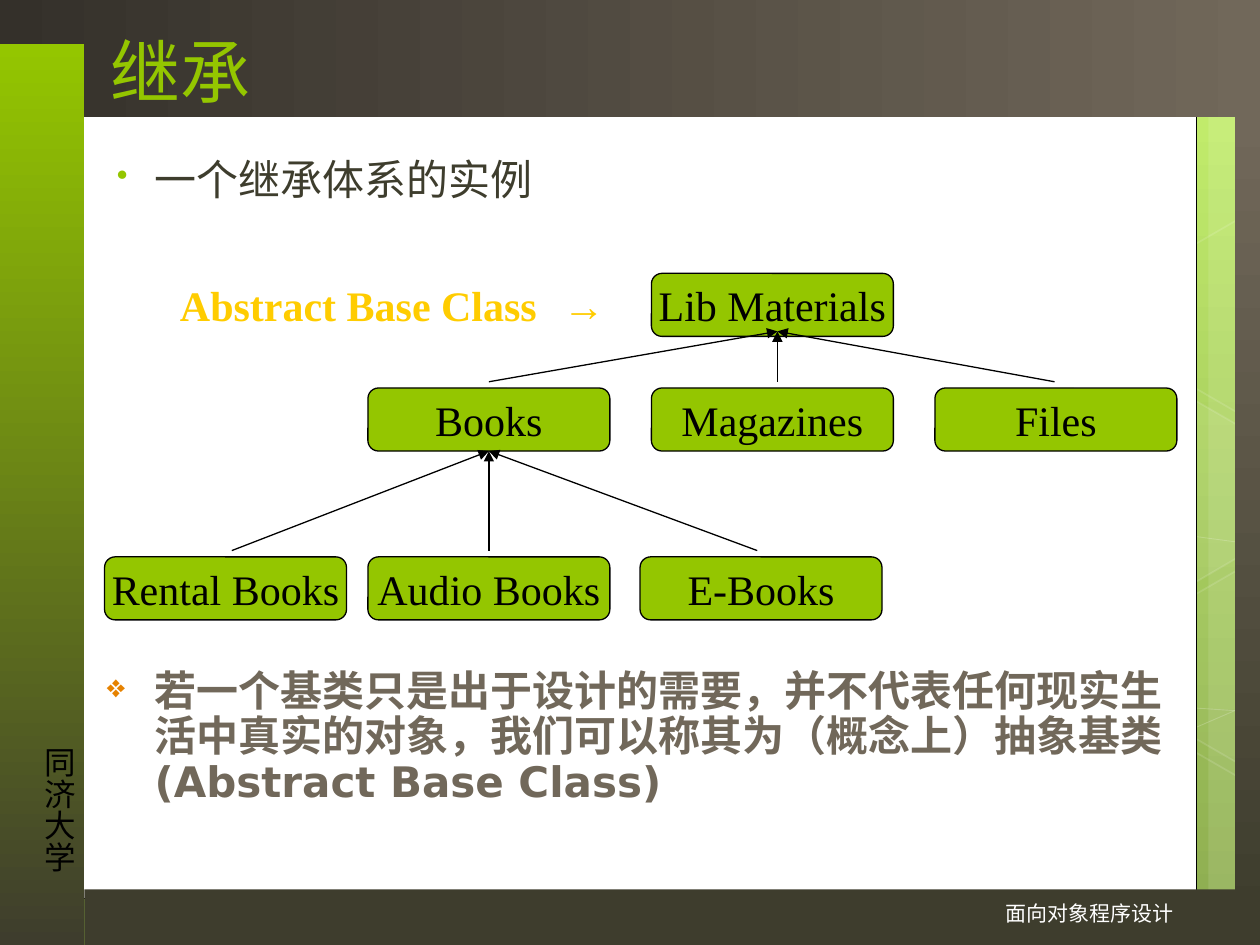
"""Build the slide showing an inheritance hierarchy of library materials."""
import pptx
import pptx.dml.color
import pptx.enum.shapes
import pptx.enum.text
import pptx.oxml
import pptx.oxml.ns
import pptx.util
from pptx.util import Inches

RGBColor = pptx.dml.color.RGBColor
Shapes = pptx.enum.shapes.MSO_SHAPE
Align = pptx.enum.text.PP_ALIGN
Anchor = pptx.enum.text.MSO_ANCHOR

BLACK = RGBColor(0x00, 0x00, 0x00)
WHITE = RGBColor(0xFF, 0xFF, 0xFF)
GREEN = RGBColor(0x94, 0xC6, 0x00)
PALE_GREEN = RGBColor(0xC2, 0xF3, 0x5F)
MOSS = RGBColor(0x80, 0xA3, 0x3D)
OLIVE = RGBColor(0x3E, 0x3D, 0x2D)
BROWN = RGBColor(0x34, 0x30, 0x2A)
TAUPE = RGBColor(0x71, 0x68, 0x5A)
ORANGE = RGBColor(0xE6, 0x82, 0x00)
GOLD = RGBColor(0xFF, 0xCC, 0x00)

NODE_WIDTH, NODE_HEIGHT = 1.92, 0.5
NODES = [
    ("Lib Materials", 5.17, 2.17),
    ("Books", 2.92, 3.08),
    ("Magazines", 5.17, 3.08),
    ("Files", 7.42, 3.08),
    ("Rental Books", 0.83, 4.42),
    ("Audio Books", 2.92, 4.42),
    ("E-Books", 5.08, 4.42),
]


def add_xml(parent, tag, **attributes):
    """Append a drawing element to parent and return it."""
    element = pptx.oxml.parse_xml(f"<a:{tag} {pptx.oxml.ns.nsdecls('a')}/>")
    for name, value in attributes.items():
        element.set(name, str(value))
    parent.append(element)
    return element


def set_alpha(owner, percent):
    """Make the solid colours below an element translucent."""
    for color in owner.iter(pptx.oxml.ns.qn("a:srgbClr")):
        add_xml(color, "alpha", val=percent * 1000)


def paint_gradient(fill, first, last, angle):
    """Give a fill a two-colour linear gradient."""
    fill.gradient()
    fill.gradient_angle = angle
    for stop, color in zip(fill.gradient_stops, (first, last)):
        stop.color.rgb = color


def style(shape, fill=None, line=None, line_width=0.75, fill_alpha=None, line_alpha=None):
    """Set the fill, outline and transparency of a shape."""
    shape.shadow.inherit = False
    if fill is None:
        shape.fill.background()
    else:
        shape.fill.solid()
        shape.fill.fore_color.rgb = fill
        if fill_alpha:
            set_alpha(shape._element.spPr.find(pptx.oxml.ns.qn("a:solidFill")), fill_alpha)
    if line is None:
        shape.line.fill.background()
    else:
        shape.line.color.rgb = line
        shape.line.width = pptx.util.Pt(line_width)
        if line_alpha:
            set_alpha(shape.line._get_or_add_ln(), line_alpha)


def add_block(slide, kind, left, top, width, height, **look):
    """Add a preset shape with the given look."""
    block = slide.shapes.add_shape(
        kind, Inches(left), Inches(top), Inches(width), Inches(height))
    style(block, **look)
    return block


def add_gradient_bar(slide, left, top, width, height, first, last, angle):
    """Add a borderless bar filled with a gradient."""
    bar = add_block(slide, Shapes.RECTANGLE, left, top, width, height)
    paint_gradient(bar.fill, first, last, angle)


def add_outline(slide, points, closed, **look):
    """Add a freeform through points given in inches."""
    corners = [(Inches(x), Inches(y)) for x, y in points]
    builder = slide.shapes.build_freeform(*corners[0])
    builder.add_line_segments(corners[1:], close=closed)
    style(builder.convert_to_shape(), **look)


def write(frame, text, size=24, font="Times New Roman", color=BLACK, bold=False,
          align=Align.LEFT, anchor=Anchor.TOP, wrap=True, bullet=None,
          bullet_color=None, indent=0.38, hanging=0.38, spacing=None, tab=None):
    """Write one formatted paragraph into a text frame and return it."""
    frame.word_wrap = wrap
    frame.vertical_anchor = anchor
    paragraph = frame.paragraphs[0]
    properties = paragraph._p.get_or_add_pPr()
    if bullet:
        properties.set("marL", str(Inches(indent)))
        properties.set("indent", str(-Inches(hanging)))
        add_xml(add_xml(properties, "buClr"), "srgbClr", val=bullet_color)
        add_xml(properties, "buSzPct", val=76000)
        add_xml(properties, "buChar", char=bullet)
    if tab:
        add_xml(add_xml(properties, "tabLst"), "tab", pos=Inches(tab), algn="l")
    paragraph.alignment = align
    if spacing:
        paragraph.line_spacing = spacing
    add_run(paragraph, text, size, font, color, bold)
    return paragraph


def add_run(paragraph, text, size, font, color, bold=False):
    """Append a formatted run to a paragraph."""
    run = paragraph.add_run()
    run.text = text
    run.font.size = pptx.util.Pt(size)
    run.font.name = font
    run.font.color.rgb = color
    run.font.bold = bold


def add_text(slide, left, top, width, height, text, **text_format):
    """Add a text box and return its paragraph."""
    box = slide.shapes.add_textbox(
        Inches(left), Inches(top), Inches(width), Inches(height))
    return write(box.text_frame, text, **text_format)


def add_vertical_text(slide, left, top, width, height, text, **text_format):
    """Add a text box whose characters run downwards."""
    add_text(slide, left, top, width, height, text, wrap=False, **text_format)
    frame = slide.shapes[-1].text_frame
    frame.margin_left = frame.margin_right = Inches(0.05)
    frame.margin_top = frame.margin_bottom = Inches(0.1)
    frame._txBody.bodyPr.set("vert", "eaVert")


def add_arrow(slide, start, end, parent=None):
    """Add an inheritance arrow, joined below its parent where given."""
    arrow = slide.shapes.add_connector(
        pptx.enum.shapes.MSO_CONNECTOR.STRAIGHT, *map(Inches, start + end))
    if parent is not None:
        arrow.end_connect(parent, 2)
    arrow.line.color.rgb = BLACK
    arrow.line.width = pptx.util.Pt(0.75)
    add_xml(arrow.line._get_or_add_ln(), "tailEnd", type="triangle")
    add_xml(arrow._element.spPr, "effectLst")


def add_backdrop(slide):
    """Draw the background, the patterned strip and the frame bars."""
    paint_gradient(slide.background.fill, PALE_GREEN, MOSS, 270)
    for left, width in ((9.59, 0.5), (9, 0.83)):
        add_block(slide, Shapes.RECTANGLE, left, 0, width, 7.5, fill=WHITE, fill_alpha=10)
    for start, end in ((5.77, 5.64), (4.26, 4.3), (5.62, 5.64)):
        add_outline(slide, [(9.5, start), (9.8, end)], False,
                    line=WHITE, line_width=0.5, line_alpha=20)
    for top, alpha in ((3.14, 7), (5.93, None)):
        hexagon = add_block(slide, Shapes.HEXAGON, 8.34, top, 1.75, 1.52,
                            fill=WHITE if alpha else None, fill_alpha=alpha,
                            line=WHITE, line_width=1, line_alpha=12)
        hexagon.adjustments[0] = 0.285
        hexagon.rotation = 30
    for top, alpha in ((1.63, None), (4.41, 4)):
        corners = [(9.26, 0.44), (10.02, 0), (10.09, 0.05),
                   (10.09, 1.72), (10.02, 1.76), (9.26, 1.32)]
        add_outline(slide, [(x, top + y) for x, y in corners], True,
                    fill=WHITE if alpha else None, fill_alpha=alpha,
                    line=WHITE, line_width=1, line_alpha=12)
    add_block(slide, Shapes.RECTANGLE, 0.5, 0.36, 9, 6.77,
              fill=WHITE, line=BLACK, line_width=0.5)
    add_block(slide, Shapes.RECTANGLE, 0.67, 7.06, 9.33, 0.44, fill=OLIVE)
    add_gradient_bar(slide, 0, 0, 10, 0.93, BROWN, TAUPE, 0)
    add_gradient_bar(slide, 0, 0.35, 0.67, 7.15, GREEN, OLIVE, 270)
    add_gradient_bar(slide, 9.8, 0.91, 0.2, 6.38, TAUPE, OLIVE, 270)


def add_hierarchy(slide):
    """Draw the class boxes, the base class label and the arrows."""
    classes = {}
    for name, left, top in NODES:
        node = add_block(slide, Shapes.ROUNDED_RECTANGLE, left, top,
                         NODE_WIDTH, NODE_HEIGHT, fill=GREEN, line=BLACK)
        write(node.text_frame, name, align=Align.CENTER, anchor=Anchor.MIDDLE, wrap=False)
        classes[name] = node
    label = add_text(slide, 1.33, 2.17, 3.67, 0.5, "Abstract Base Class\t",
                     color=GOLD, bold=True, tab=3.04)
    add_run(label, "→", 24, "Arial", GOLD)
    for x in (1.84, 3.88, 6.01):
        add_arrow(slide, (x, 4.37), (3.88, 3.58), classes["Books"])
    for x in (3.88, 6.17, 8.37):
        add_arrow(slide, (x, 3.03), (6.17, 2.63))


def main():
    """Build the slide and save it."""
    deck = pptx.Presentation()
    deck.slide_width, deck.slide_height = Inches(10), Inches(7.5)
    slide = deck.slides.add_slide(deck.slide_layouts[6])
    add_backdrop(slide)
    add_vertical_text(slide, 0.17, 5.83, 0.5, 1.1, "同济大学", size=18, font="Arial")
    add_text(slide, 0.78, 0.17, 7.68, 0.77, "继承", size=40,
             font="TeX Gyre Adventor", color=GREEN, anchor=Anchor.BOTTOM)
    add_text(slide, 0.75, 1.17, 8.92, 0.75, "一个继承体系的实例",
             font="TeX Gyre Adventor", color=OLIVE,
             bullet="•", bullet_color=GREEN, hanging=0.3)
    add_text(slide, 0.75, 5.27, 8.83, 1.4,
             "若一个基类只是出于设计的需要，并不代表任何现实生活中真实的对象，"
             "我们可以称其为（概念上）抽象基类(Abstract Base Class)",
             font="DejaVu Sans", color=TAUPE, bold=True,
             bullet="❖", bullet_color=ORANGE, spacing=0.9)
    add_hierarchy(slide)
    add_text(slide, 5.58, 7.1, 3.83, 0.4, "面向对象程序设计", size=12,
             font="Arial", color=WHITE, align=Align.RIGHT)
    deck.save("out.pptx")


if __name__ == "__main__":
    main()
